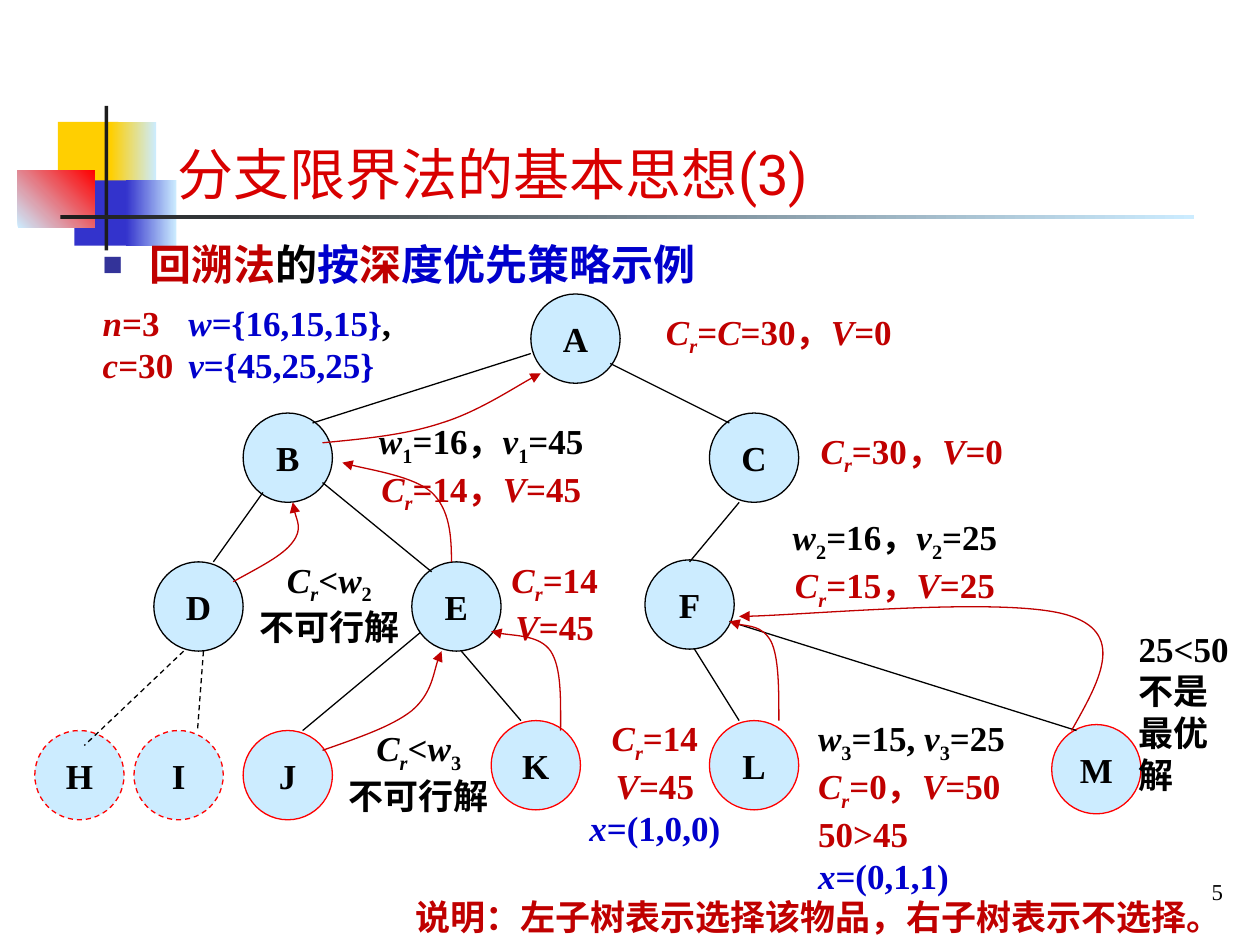
from dataclasses import dataclass
from functools import partial
from typing import NamedTuple

from lxml.etree import SubElement
from pptx import Presentation
from pptx.dml.color import RGBColor
from pptx.enum.dml import MSO_LINE
from pptx.enum.shapes import MSO_CONNECTOR, MSO_SHAPE
from pptx.enum.text import MSO_ANCHOR, MSO_AUTO_SIZE, PP_ALIGN
from pptx.oxml.ns import qn
from pptx.util import Cm, Inches, Pt

BLACK = RGBColor(0x00, 0x00, 0x00)
CRIMSON = RGBColor(0xC0, 0x00, 0x00)
BLUE = RGBColor(0x00, 0x00, 0xCC)
RED = RGBColor(0xFF, 0x00, 0x00)
TITLE_RED = RGBColor(0xD8, 0x00, 0x00)
PALE = RGBColor(0xCC, 0xEC, 0xFF)
GOLD = RGBColor(0xFF, 0xCF, 0x01)
INDIGO = RGBColor(0x33, 0x33, 0xCC)
DARK = RGBColor(0x1C, 0x1C, 0x1C)
SERIF = "Times New Roman"
UNIT = Cm(0.2)
NODE_SIZE = 9
HAIRLINE = Pt(0.75)


class Span(NamedTuple):
    """Pieces parted by |: a lone letter is a variable, _ marks a subscript."""
    color: RGBColor
    markup: str


class Node(NamedTuple):
    name: str
    col: float
    row: float
    color: RGBColor = BLACK
    dashed: bool = False


class Edge(NamedTuple):
    start: tuple[float, float]
    end: tuple[float, float]
    dashed: bool = False


@dataclass
class Label:
    col: float
    row: float
    cols: float
    rows: float
    lines: list[list[Span]]
    align: PP_ALIGN = PP_ALIGN.CENTER
    wrap: bool = False
    size: int = 20
    bold: bool = True


class Block(NamedTuple):
    """Decoration with its place as shares of the slide."""
    left: float
    top: float
    width: float
    height: float
    color: RGBColor
    fade: RGBColor | None = None
    angle: int = 0


black, crimson, blue = (partial(Span, c) for c in (BLACK, CRIMSON, BLUE))
LEFT, RIGHT = PP_ALIGN.LEFT, PP_ALIGN.RIGHT

BLOCKS = [
    Block(0.046, 0.129, 0.048, 0.069, GOLD),
    Block(0.088, 0.129, 0.036, 0.069, GOLD, PALE),
    Block(0.059, 0.191, 0.046, 0.069, INDIGO),
    Block(0.1, 0.191, 0.04, 0.069, INDIGO, PALE),
    Block(0.014, 0.18, 0.061, 0.061, PALE, RED, 45),
    Block(0.083, 0.112, 0.003, 0.153, DARK),
    Block(0.048, 0.228, 0.9, 0.004, DARK, PALE),
]
NODES = [
    Node("A", 53, 29), Node("B", 24, 41), Node("C", 71, 41),
    Node("D", 15, 56), Node("E", 41, 56), Node("F", 64.5, 55.8),
    Node("H", 3, 73, RED, True), Node("I", 13, 73, RED, True),
    Node("J", 24, 73, RED), Node("K", 49, 72, RED),
    Node("L", 71, 72, RED), Node("M", 105.5, 72.4, RED),
]
EDGES_UNDER_NODES = [
    Edge((42, 63), (30, 73)), Edge((46, 65), (52, 72)), Edge((69, 64), (74, 72)),
]
EDGES = [
    Edge((53, 35), (31, 42)), Edge((61, 36), (73, 42)),
    Edge((26, 49), (21, 56)), Edge((32, 48), (43, 57)),
    Edge((74, 50), (69, 56)), Edge((73, 62), (108, 73)),
    Edge((18, 65), (8, 74.5), True), Edge((20, 65), (19.4, 73), True),
]
# Each backtracking arc: start, then three Bézier points per segment.
ARCS = [
    [(32, 75), (35.4, 73.8), (39, 72.6), (41, 71), (43, 69.3), (43.4, 66), (44, 65)],
    [(78, 72), (78, 68.8), (78, 65.6), (77.2, 64), (76.3, 62.4), (73.7, 62.4), (73, 62)],
    [(45, 56), (45, 53.3), (44.8, 50.7), (43, 49), (41.2, 47.4), (35.5, 46.5), (34, 46)],
    [(23, 58), (25.5, 56.6), (28, 55.4), (29, 54), (30, 52.7), (29, 50.7), (29, 50)],
    [(32, 44), (36.2, 43.6), (40.4, 43.2), (44, 42), (47.6, 40.9), (52.3, 37.8), (54, 37)],
    [(56, 73), (56, 69.8), (56.1, 66.7), (55, 65), (53.9, 63.4), (50, 63.4), (49, 63)],
    [(107.5, 73), (110.2, 68.2), (113, 63.4), (107.5, 61.5), (101.9, 59.4), (79.5, 61.5),
     (74, 61.5)],
]
HEADING = Label(8.6, 22.8, 64, 6.4, [[
    crimson("回溯法"), black("的"), blue("按"), crimson("深"), blue("度优先策略示例")]],
    LEFT, True, 24)
GIVEN = Label(8.6, 29.1, 35, 9.8, [
    [crimson("n|=3\t"), blue("w|={16,15,15}"), black(",")],
    [crimson("c|=30\t"), blue("v|={45,25,25}")]], LEFT, True)
LABELS = [
    Label(64.5, 30, 27, 6, [[crimson("C|_r|=|C|=30，|V|=0")]]),
    Label(35.6, 41, 24.8, 11, [[black("w|_1|=16，|v|_1|=45")], [crimson("C|_r|=14，|V|=45")]]),
    Label(80.1, 42, 22.6, 6, [[crimson("C|_r|=30，|V|=0")]]),
    Label(23.4, 55, 18.6, 10.4, [[black("C|_r|<|w|_2")], [black("不可行解")]]),
    Label(32.4, 72, 18.6, 10.4, [[black("C|_r|<|w|_3")], [black("不可行解")]]),
    Label(48.8, 55, 13.2, 10.4, [[crimson("C|_r|=14")], [crimson("V|=45")]]),
    Label(57, 71, 17, 14.6, [[crimson("C|_r|=14")], [crimson("V|=45")], [blue("x|=(1,0,0)")]],
          wrap=True),
    Label(80.7, 71, 22.6, 19.4, [
        [black("w|_3|=15, |v|_3|=25")], [crimson("C|_r|=0，|V|=50")],
        [crimson("50>45")], [blue("x|=(0,1,1)")]], LEFT),
    Label(77.3, 50.7, 24.8, 11, [[black("w|_2|=16，|v|_2|=25")], [crimson("C|_r|=15，|V|=25")]]),
    Label(113, 62, 13.6, 18.3, [[black(t)] for t in ("25<50", "不是", "最优", "解")], LEFT, True),
    Label(40.1, 89, 83.8, 5.6, [[crimson("说明：左子树表示选择该物品，右子树表示不选择。")]], LEFT),
    Label(99.7, 87.2, 24.3, 4.7, [[black("5")]], RIGHT, True, 13, False),
]


def x(col: float) -> int:
    return int(Inches(0.04) + col * UNIT)


def y(row: float) -> int:
    return int(Inches(0.05) + row * UNIT)


def style_line(sp, color: RGBColor, dashed: bool = False) -> None:
    sp.line.color.rgb = color
    sp.line.width = HAIRLINE
    if dashed:
        sp.line.dash_style = MSO_LINE.DASH


def format_run(r, color: RGBColor, size: int = 20, bold: bool = True) -> None:
    r.font.name, r.font.size, r.font.bold = SERIF, Pt(size), bold
    r.font.color.rgb = color


def draw_block(prs, shapes, block: Block) -> None:
    w, h = prs.slide_width, prs.slide_height
    sp = shapes.add_shape(MSO_SHAPE.RECTANGLE, int(block.left * w), int(block.top * h),
                          int(block.width * w), int(block.height * h))
    sp.shadow.inherit = False
    sp.line.fill.background()
    if block.fade is None:
        sp.fill.solid()
        sp.fill.fore_color.rgb = block.color
        return
    sp.fill.gradient()
    sp.fill.gradient_angle = block.angle
    for stop, color in zip(sp.fill.gradient_stops, (block.color, block.fade)):
        stop.color.rgb = color


def draw_node(shapes, node: Node) -> None:
    side = NODE_SIZE * UNIT
    sp = shapes.add_shape(MSO_SHAPE.OVAL, x(node.col), y(node.row), side, side)
    sp.shadow.inherit = False
    sp.fill.solid()
    sp.fill.fore_color.rgb = PALE
    style_line(sp, node.color, node.dashed)
    tf = sp.text_frame
    tf.text = node.name
    tf.word_wrap = False
    tf.vertical_anchor = MSO_ANCHOR.MIDDLE
    p = tf.paragraphs[0]
    p.alignment = PP_ALIGN.CENTER
    format_run(p.runs[0], BLACK)


def draw_edge(shapes, edge: Edge) -> None:
    (c1, r1), (c2, r2) = edge.start, edge.end
    sp = shapes.add_connector(MSO_CONNECTOR.STRAIGHT, x(c1), y(r1), x(c2), y(r2))
    style_line(sp, BLACK, edge.dashed)
    SubElement(sp.element.spPr, qn("a:effectLst"))


def draw_arc(shapes, points: list[tuple[float, float]]) -> None:
    """Draw an open Bézier curve with an arrowhead at its end."""
    start, *rest = [(x(c), y(r)) for c, r in points]
    builder = shapes.build_freeform(*start)
    builder.add_line_segments(rest, close=False)
    sp = builder.convert_to_shape()
    sp.shadow.inherit = False
    sp.fill.background()
    style_line(sp, CRIMSON)
    SubElement(sp.line._get_or_add_ln(), qn("a:tailEnd"), type="triangle")
    path = next(sp.element.iter(qn("a:path")))
    segments = path.findall(qn("a:lnTo"))
    for i in range(0, len(segments), 3):
        curve = SubElement(path, qn("a:cubicBezTo"))
        for segment in segments[i:i + 3]:
            curve.append(segment[0])
            path.remove(segment)


def add_span(p, span: Span, label: Label) -> None:
    for piece in span.markup.split("|"):
        text = piece.removeprefix("_")
        r = p.add_run()
        r.text = text
        format_run(r, span.color, label.size, label.bold)
        r.font.italic = len(text) == 1 and text.isascii() and text.isalpha()
        if piece != text:
            r.font._element.set("baseline", "-25000")


def draw_label(shapes, label: Label):
    box = shapes.add_textbox(x(label.col), y(label.row),
                             int(label.cols * UNIT), int(label.rows * UNIT))
    tf = box.text_frame
    tf.word_wrap = label.wrap
    tf.auto_size = MSO_AUTO_SIZE.SHAPE_TO_FIT_TEXT
    for i, line in enumerate(label.lines):
        p = tf.add_paragraph() if i else tf.paragraphs[0]
        p.alignment = label.align
        for span in line:
            add_span(p, span, label)
    return tf


def add_bullet(p) -> None:
    pPr = p._p.get_or_add_pPr()
    pPr.set("marL", str(Inches(0.37)))
    pPr.set("indent", str(-Inches(0.37)))
    SubElement(SubElement(pPr, qn("a:buClr")), qn("a:srgbClr"), val="333399")
    SubElement(pPr, qn("a:buSzPct"), val="80000")
    SubElement(pPr, qn("a:buFont"), typeface=SERIF)
    SubElement(pPr, qn("a:buChar"), char="■")


def add_tab_stop(p, pos: int) -> None:
    tabs = SubElement(p._p.get_or_add_pPr(), qn("a:tabLst"))
    SubElement(tabs, qn("a:tab"), pos=str(pos), algn="l")


def set_title(title) -> None:
    title.left, title.top = Inches(1.31), Inches(0.6)
    title.width, title.height = Inches(8.42), Inches(1.09)
    tf = title.text_frame
    tf.text = "分支限界法的基本思想(3)"
    tf.vertical_anchor = MSO_ANCHOR.BOTTOM
    p = tf.paragraphs[0]
    p.alignment = LEFT
    font = p.runs[0].font
    font.name, font.size, font.color.rgb = "Roboto", Pt(32), TITLE_RED


def main() -> None:
    prs = Presentation()
    prs.slide_width, prs.slide_height = Inches(10), Inches(7.5)
    slide = prs.slides.add_slide(prs.slide_layouts[5])
    shapes = slide.shapes
    set_title(shapes.title)
    for block in BLOCKS:
        draw_block(prs, shapes, block)
    for draw, items in ((draw_edge, EDGES_UNDER_NODES), (draw_node, NODES),
                        (draw_edge, EDGES), (draw_arc, ARCS), (draw_label, LABELS)):
        for item in items:
            draw(shapes, item)
    add_bullet(draw_label(shapes, HEADING).paragraphs[0])
    for p in draw_label(shapes, GIVEN).paragraphs:
        add_tab_stop(p, Inches(0.68))
    prs.save("out.pptx")


if __name__ == "__main__":
    main()
